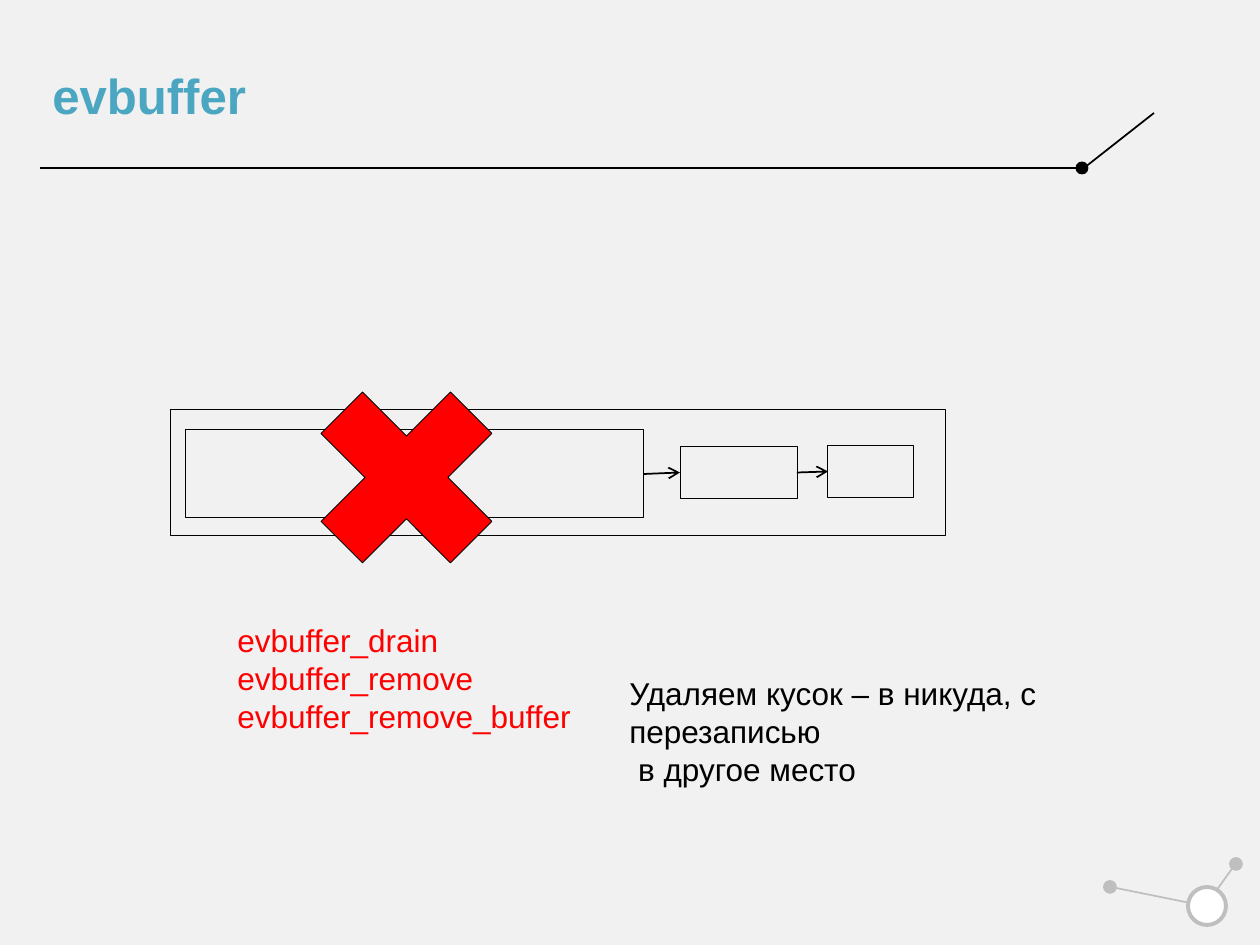
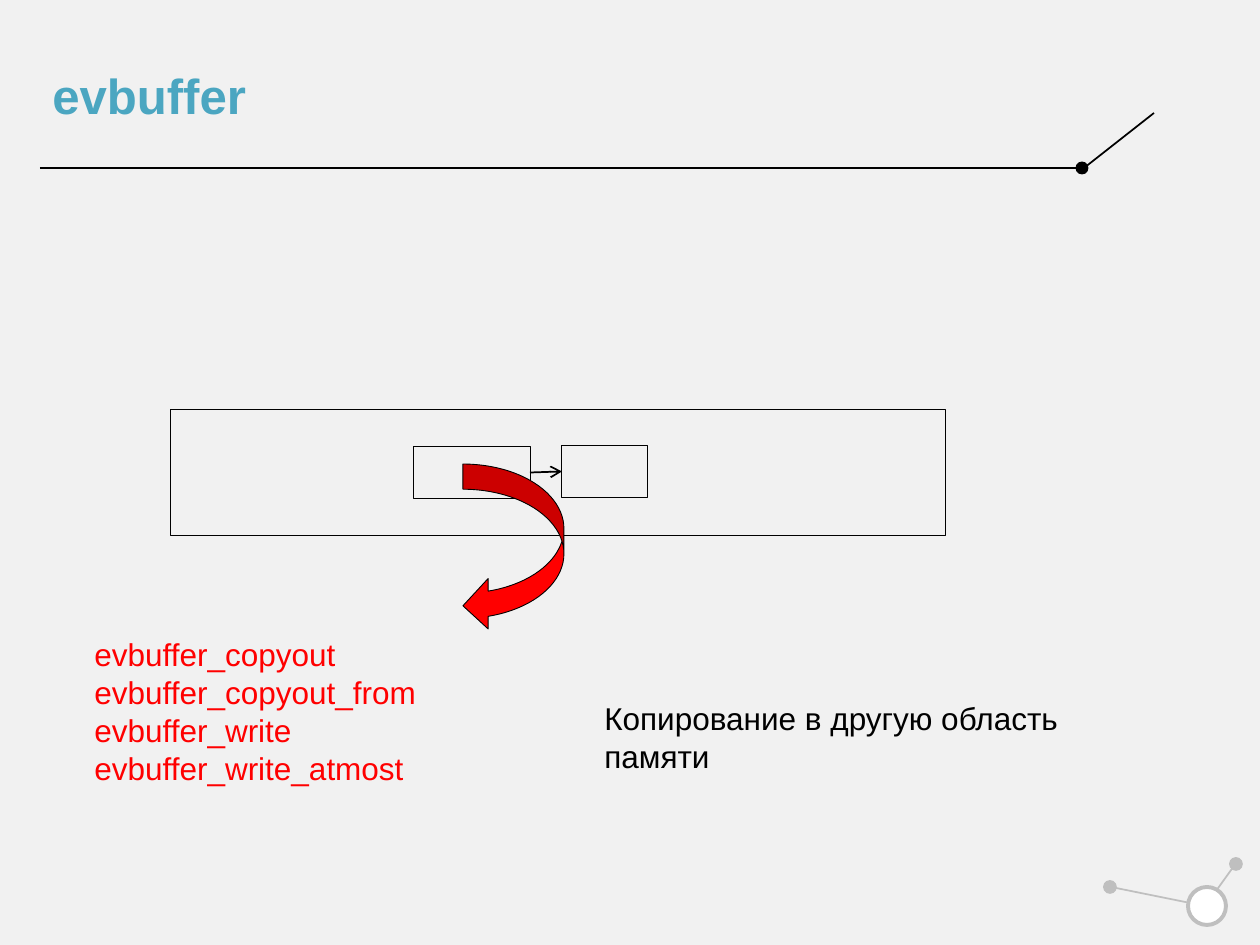
from dataclasses import dataclass

from lxml import etree
from pptx import Presentation
from pptx.dml.color import RGBColor
from pptx.enum.shapes import MSO_CONNECTOR, MSO_SHAPE
from pptx.enum.text import MSO_ANCHOR
from pptx.oxml.ns import qn
from pptx.util import Pt

RECT = MSO_SHAPE.RECTANGLE
OVAL = MSO_SHAPE.OVAL
CROSS = MSO_SHAPE.MATH_MULTIPLY
COPY_ARROW = MSO_SHAPE.CURVED_LEFT_ARROW
STRAIGHT = MSO_CONNECTOR.STRAIGHT
TOP, MIDDLE = MSO_ANCHOR.TOP, MSO_ANCHOR.MIDDLE
RIGHT_SIDE, LEFT_SIDE = 3, 1
PX = 914400 / 126  # EMU in one px


@dataclass(frozen=True)
class Theme:
    page: str = "F1F1F1"
    title: str = "4BA6C1"
    ink: str = "000000"
    accent: str = "FF0000"
    ornament: str = "BFBFBF"
    hub: str = "FFFFFF"
    font: str = "Arial"
    title_size: float = 28.1
    body_size: float = 18
    thin: float = 0.5
    normal: float = 1
    thick: float = 2.25


THEME = Theme()


def add_figure(slide, kind, box, fill=None, line=THEME.ink, weight=THEME.thin):
    figure = slide.shapes.add_shape(kind, *[round(v * PX) for v in box])
    figure.shadow.inherit = False
    if fill:
        figure.fill.solid()
        figure.fill.fore_color.rgb = RGBColor.from_string(fill)
    else:
        figure.fill.background()
    figure.line.color.rgb = RGBColor.from_string(line)
    figure.line.width = Pt(weight)
    return figure


def add_line(slide, ends, color=THEME.ink):
    line = slide.shapes.add_connector(STRAIGHT, *[round(v * PX) for v in ends])
    line.line.color.rgb = RGBColor.from_string(color)
    line.line.width = Pt(THEME.normal)
    etree.SubElement(line._element.spPr, qn("a:effectLst"))
    return line


# Each operation: chunks of the buffer, the red mark over them, its calls, its meaning
operations = [
    {
        "chunks": [(185, 430, 459, 88), (680, 446, 117, 53), (828, 445, 86, 53)],
        "mark": (CROSS, (282, 353, 249, 249)),
        "calls": ((225, 615, 402, 126),
                  ["evbuffer_drain", "evbuffer_remove", "evbuffer_remove_buffer"]),
        "meaning": ((617, 668, 631, 83),
                    ["Удаляем кусок – в никуда, с перезаписью", " в другое место"]),
    },
    {
        "chunks": [(413, 446, 117, 53), (562, 445, 86, 53)],
        "mark": (COPY_ARROW, (463, 464, 101, 167)),
        "calls": ((82, 629, 388, 164),
                  ["evbuffer_copyout", "evbuffer_copyout_from",
                   "evbuffer_write", "evbuffer_write_atmost"]),
        "meaning": ((592, 693, 592, 48), ["Копирование в другую область памяти"]),
    },
]

prs = Presentation()
prs.slide_width = round(1260 * PX)
prs.slide_height = round(945 * PX)
blank = prs.slide_layouts[6]

for operation in operations:
    slide = prs.slides.add_slide(blank)
    slide.background.fill.solid()
    slide.background.fill.fore_color.rgb = RGBColor.from_string(THEME.page)

    # Title rule with its upward tick
    add_line(slide, (40, 168, 1076, 168))
    add_figure(slide, OVAL, (1076, 162, 12, 12), THEME.ink)
    add_line(slide, (1084, 168, 1154, 113))

    # Corner ornament: two satellites tied to a hub
    for satellite, tie in [((1230, 858, 12, 12), (1234, 866, 1216, 891)),
                           ((1104, 881, 12, 12), (1111, 887, 1200, 905))]:
        add_figure(slide, OVAL, satellite, THEME.ornament, THEME.ornament, THEME.normal)
        add_line(slide, tie, THEME.ornament)
    add_figure(slide, OVAL, (1188, 887, 38, 38), THEME.hub, THEME.ornament, THEME.thick)

    # Buffer as a chain of chunks
    add_figure(slide, RECT, (170, 410, 776, 126))
    chunks = [add_figure(slide, RECT, box) for box in operation["chunks"]]
    for chunk, following in zip(chunks, chunks[1:]):
        link = add_line(slide, (0, 0, 0, 0))
        link.begin_connect(chunk, RIGHT_SIDE)
        link.end_connect(following, LEFT_SIDE)
        etree.SubElement(link.line._get_or_add_ln(), qn("a:tailEnd"), type="arrow")
    mark, mark_box = operation["mark"]
    add_figure(slide, mark, mark_box, THEME.accent)

    for (box, lines), color, size, bold, anchor in [
        (((40, 35, 1036, 120), ["evbuffer"]), THEME.title, THEME.title_size, True, MIDDLE),
        (operation["calls"], THEME.accent, THEME.body_size, False, TOP),
        (operation["meaning"], THEME.ink, THEME.body_size, False, TOP),
    ]:
        frame = slide.shapes.add_textbox(*[round(v * PX) for v in box]).text_frame
        frame.word_wrap = True
        frame.vertical_anchor = anchor
        frame.text = "\n".join(lines)
        for paragraph in frame.paragraphs:
            paragraph.font.name = THEME.font
            paragraph.font.size = Pt(size)
            paragraph.font.bold = bold
            paragraph.font.color.rgb = RGBColor.from_string(color)

prs.save("out.pptx")
